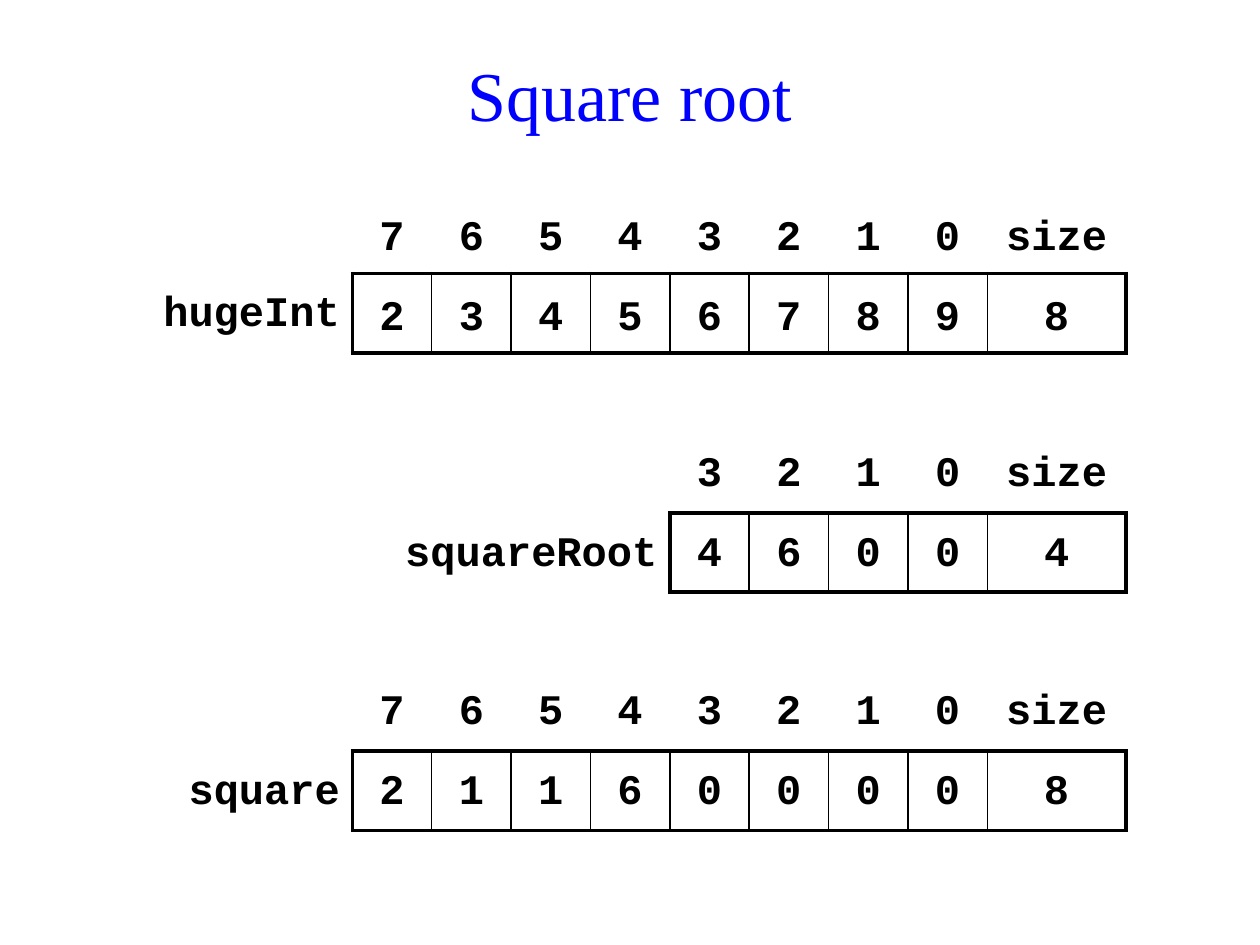
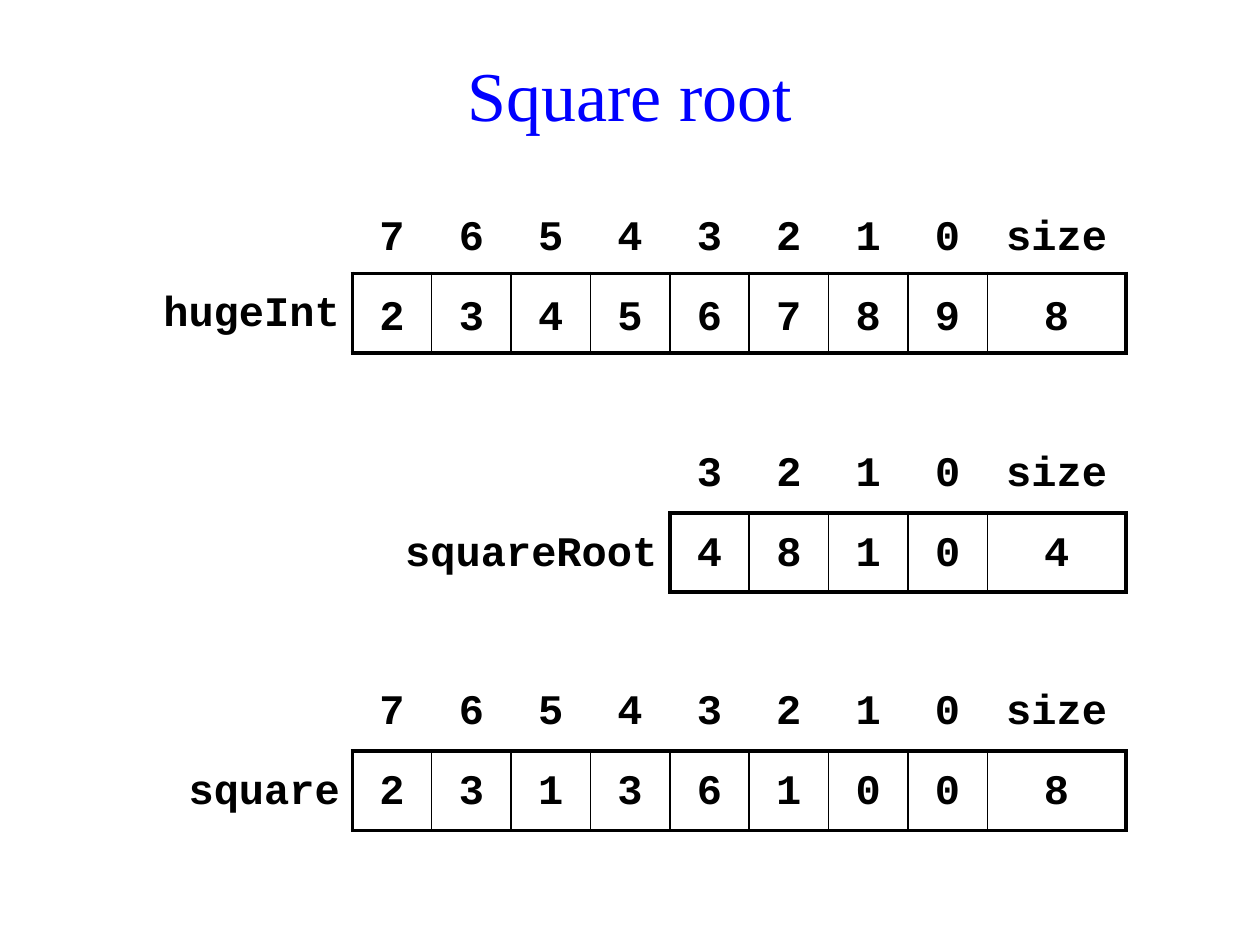
from lxml.etree import SubElement
from pptx import Presentation
from pptx.dml.color import RGBColor
from pptx.enum.text import MSO_ANCHOR as Anchor, PP_ALIGN as Align
from pptx.oxml.ns import qn
from pptx.util import Pt

BLUE = RGBColor(0x00, 0x00, 0xFF)
BLACK = RGBColor(0x00, 0x00, 0x00)
TITLE_FONT = "Times New Roman"
CODE_FONT = "Courier New"

THICK, THIN = 2.25, 1
DIGIT_WIDTH, SIZE_WIDTH, ROW_HEIGHT = 45.36, 79.2, 45.36
ARRAYS_RIGHT = 643.4
TITLE_BOX = (42.5, 20.2, 635, 67)
NO_STYLE = "{2D5ABB26-0587-4C30-8999-92F81FD0307C}"

# name, top, width of the name column, anchor of the digits
ARRAYS = [
    ("hugeInt", 110.9, 124.6, Anchor.MIDDLE),
    ("squareRoot", 247.7, 158.8, Anchor.TOP),
    ("square", 383.8, 102.2, Anchor.TOP),
]
# digits of each array, one step of the calculation per slide
STEPS = [
    ("23456789", "4600", "21160000"),
    ("23456789", "4810", "23136100"),
]


def write(frame, text, size=24, font=CODE_FONT, color=BLACK, bold=True,
          align=Align.CENTER, spacing=1.25):
    """Write one formatted paragraph into a text frame."""
    paragraph = frame.paragraphs[0]
    paragraph.alignment = align
    paragraph.line_spacing = spacing
    run = paragraph.add_run()
    run.text = text
    run.font.size = Pt(size)
    run.font.name = font
    run.font.bold = bold
    run.font.color.rgb = color


def set_borders(cell, **widths):
    """Draw the named cell sides (L, R, T, B); the others get no line."""
    properties = cell._tc.get_or_add_tcPr()
    for side in "LRTB":
        width = widths.get(side, 0)
        line = SubElement(properties, qn(f"a:ln{side}"), w=str(Pt(width)))
        if width:
            fill = SubElement(line, qn("a:solidFill"))
            SubElement(fill, qn("a:srgbClr"), val=str(BLACK))
        else:
            SubElement(line, qn("a:noFill"))
    cell.fill.background()


def add_title(slide, text, box):
    """Place the centred slide title in the box."""
    shape = slide.shapes.add_textbox(*map(Pt, box))
    frame = shape.text_frame
    frame.word_wrap = True
    frame.vertical_anchor = Anchor.MIDDLE
    write(frame, text, size=40, font=TITLE_FONT, color=BLUE, bold=False,
          spacing=1)


def add_array(slide, name, digits, right, top, name_width, anchor):
    """Place a digit array with its indices, name and size, ending at right."""
    count = len(digits)
    widths = [name_width] + [DIGIT_WIDTH] * count + [SIZE_WIDTH]
    total = sum(widths)
    box = (right - total, top, total, 2 * ROW_HEIGHT)
    table = slide.shapes.add_table(2, len(widths), *map(Pt, box)).table
    table.first_row = table.horz_banding = False
    table._tbl.tblPr.find(qn("a:tableStyleId")).text = NO_STYLE
    for column, width in zip(table.columns, widths):
        column.width = Pt(width)
    for row in table.rows:
        row.height = Pt(ROW_HEIGHT)

    set_borders(table.cell(0, 0))
    name_cell = table.cell(1, 0)
    write(name_cell.text_frame, name, align=Align.RIGHT)
    set_borders(name_cell, R=THICK)

    indices = [str(index) for index in reversed(range(count))] + ["size"]
    values = [*digits, str(count)]
    for column, (index, value) in enumerate(zip(indices, values), start=1):
        header, body = table.cell(0, column), table.cell(1, column)
        for cell, text in ((header, index), (body, value)):
            cell.vertical_anchor = anchor
            write(cell.text_frame, text)
        set_borders(header, B=THICK)
        set_borders(body, T=THICK, B=THICK,
                    L=THICK if column == 1 else THIN,
                    R=THICK if column == len(values) else THIN)


def add_step_slide(presentation, step):
    """Add a slide that shows the three arrays at one step."""
    slide = presentation.slides.add_slide(presentation.slide_layouts[6])
    add_title(slide, "Square root", TITLE_BOX)
    for (name, top, name_width, anchor), digits in zip(ARRAYS, step):
        add_array(slide, name, digits, ARRAYS_RIGHT, top, name_width, anchor)


def main():
    """Build and save the presentation."""
    presentation = Presentation()
    presentation.slide_width, presentation.slide_height = Pt(720), Pt(540)
    for step in STEPS:
        add_step_slide(presentation, step)
    presentation.save("out.pptx")


main()
